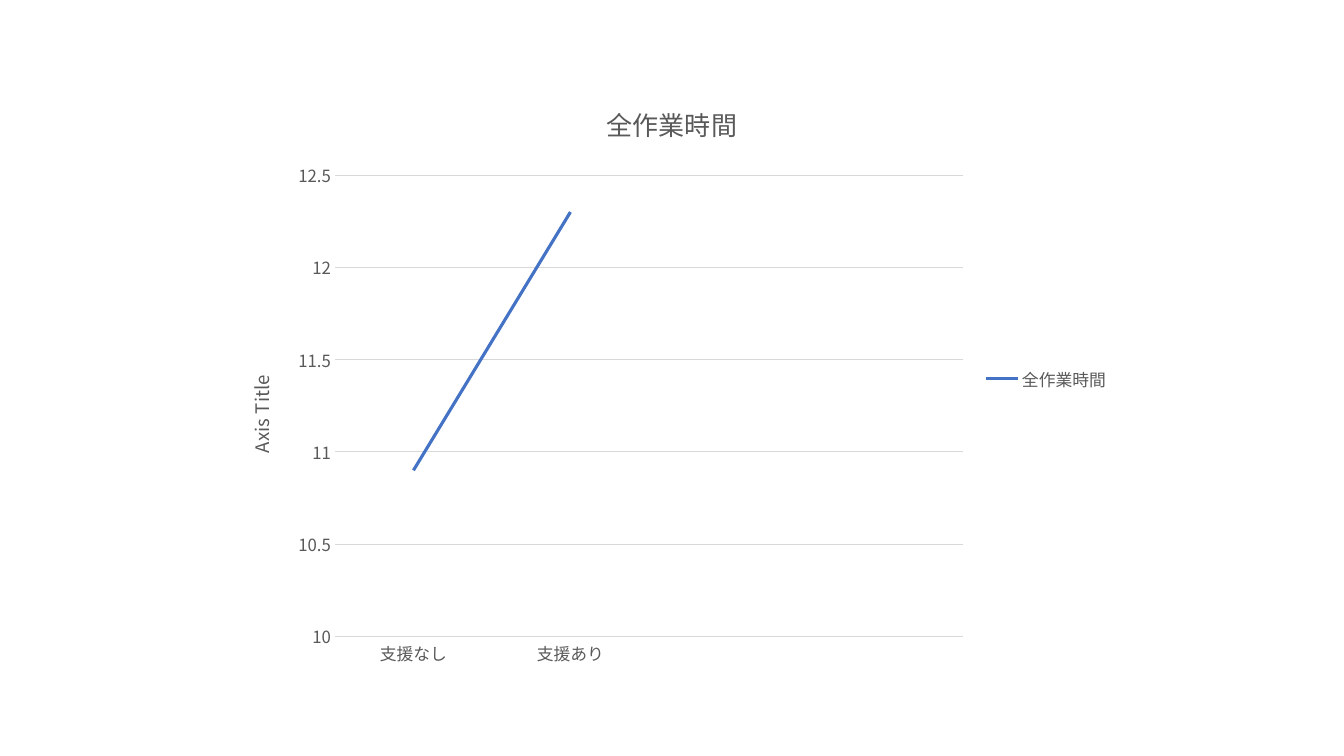
from pptx import Presentation
from pptx.chart.data import CategoryChartData
from pptx.dml.color import RGBColor
from pptx.enum.chart import XL_CHART_TYPE, XL_LEGEND_POSITION, XL_MARKER_STYLE, XL_TICK_MARK
from pptx.util import Pt

FONT = "Noto Sans CJK JP"
COLORS = {"text": "595959", "grid": "D9D9D9", "series": "4472C4"}
WORK_TIME = "全作業時間"
CATEGORIES = ["支援なし", "支援あり", "", ""]
VALUES = [10.9, 12.3, None, None]


def color(name):
    return RGBColor.from_string(COLORS[name])


def style_font(font, size):
    font.name = FONT
    font.size = Pt(size)
    font.bold = False
    font.color.rgb = color("text")


def style_line(line, name, width):
    line.color.rgb = color(name)
    line.width = Pt(width)


def set_title(title, text, size):
    title.text_frame.text = text
    style_font(title.text_frame.paragraphs[0].runs[0].font, size)


def style_axis(axis):
    axis.major_tick_mark = XL_TICK_MARK.NONE
    axis.minor_tick_mark = XL_TICK_MARK.NONE
    style_font(axis.tick_labels.font, 12)


def style_axes(chart):
    category_axis, value_axis = chart.category_axis, chart.value_axis
    for axis in (category_axis, value_axis):
        style_axis(axis)
    style_line(category_axis.format.line, "grid", 0.75)
    value_axis.minimum_scale = 10
    value_axis.maximum_scale = 12.5
    value_axis.major_unit = 0.5
    value_axis.tick_labels.number_format = "General"
    value_axis.tick_labels.number_format_is_linked = False
    value_axis.format.line.fill.background()
    style_line(value_axis.major_gridlines.format.line, "grid", 0.75)
    set_title(value_axis.axis_title, "Axis Title", 13.3)


def add_line_chart(slide, left, top, width, height):
    data = CategoryChartData()
    data.categories = CATEGORIES
    data.add_series(WORK_TIME, VALUES)
    chart = slide.shapes.add_chart(
        XL_CHART_TYPE.LINE, Pt(left), Pt(top), Pt(width), Pt(height), data
    ).chart
    style_font(chart.font, 12)
    chart.has_title = True
    set_title(chart.chart_title, WORK_TIME, 18.6)
    chart.chart_title.include_in_layout = False
    chart.has_legend = True
    chart.legend.position = XL_LEGEND_POSITION.RIGHT
    chart.legend.include_in_layout = False
    style_font(chart.legend.font, 12)
    style_axes(chart)
    plot = chart.plots[0]
    plot.vary_by_categories = False
    series = plot.series[0]
    series.smooth = False
    series.marker.style = XL_MARKER_STYLE.NONE
    style_line(series.format.line, "series", 2.25)


def main():
    presentation = Presentation()
    presentation.slide_width = Pt(960)
    presentation.slide_height = Pt(540)
    slide = presentation.slides.add_slide(presentation.slide_layouts[6])
    add_line_chart(slide, 160, 57, 640, 427)
    presentation.save("out.pptx")


main()
